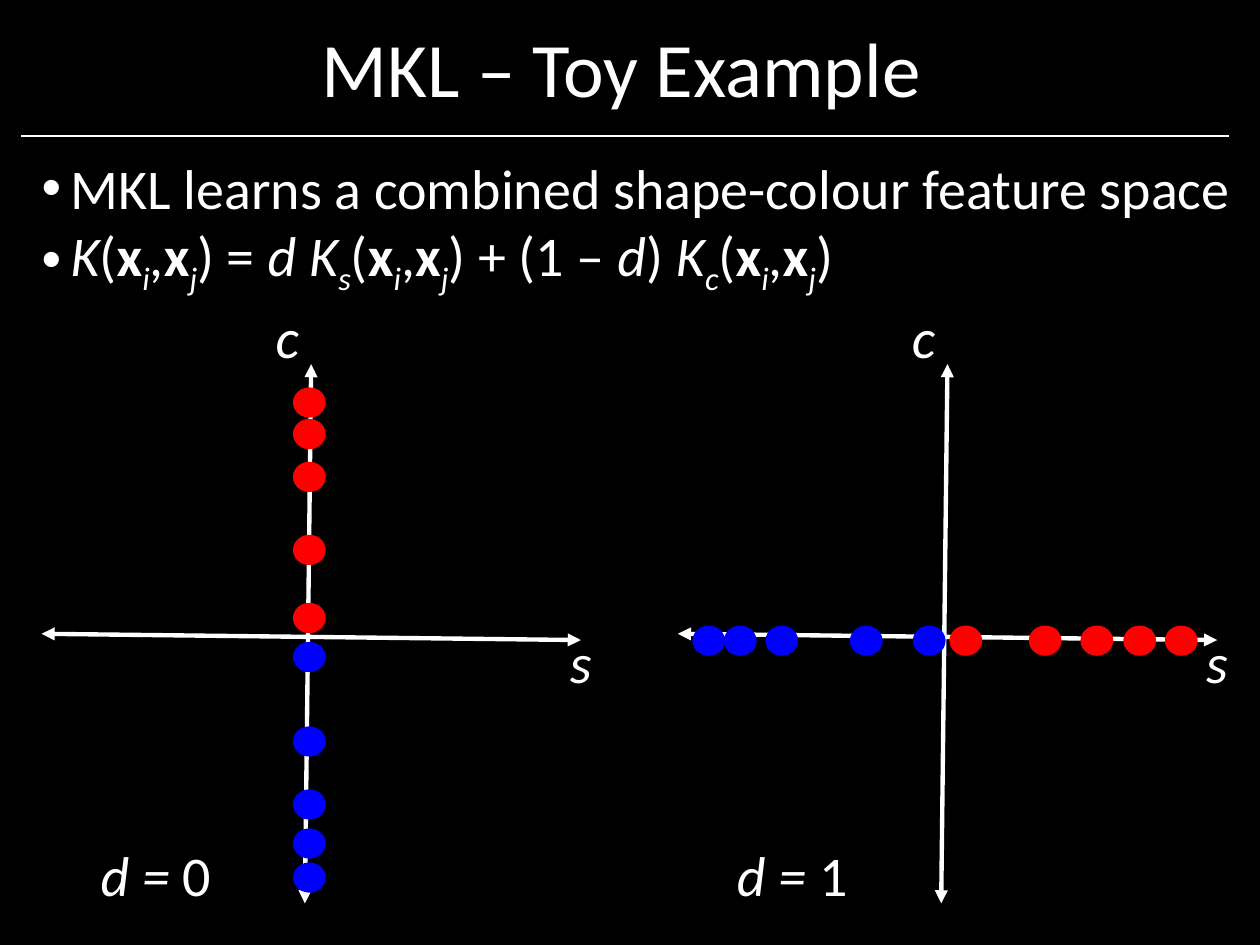
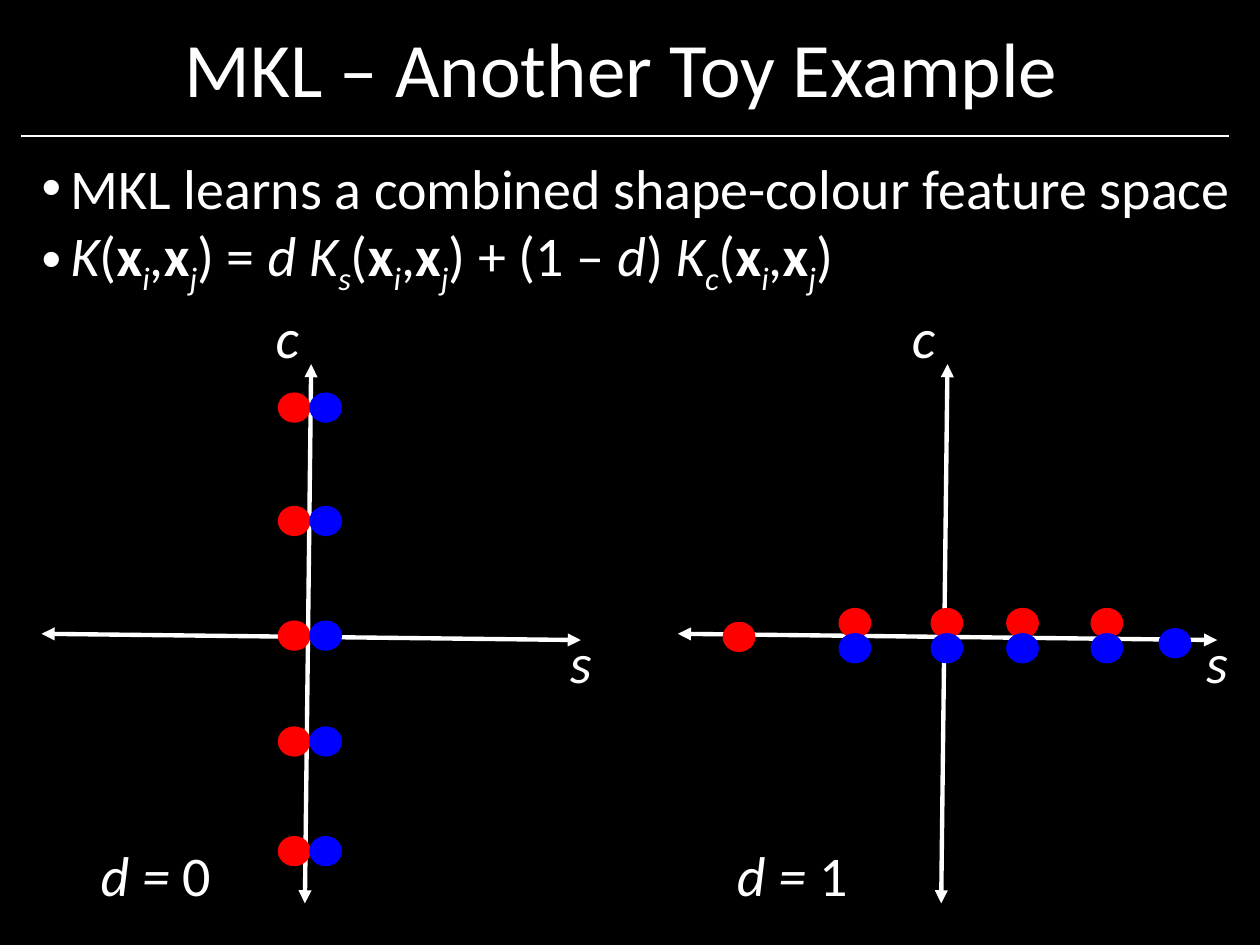
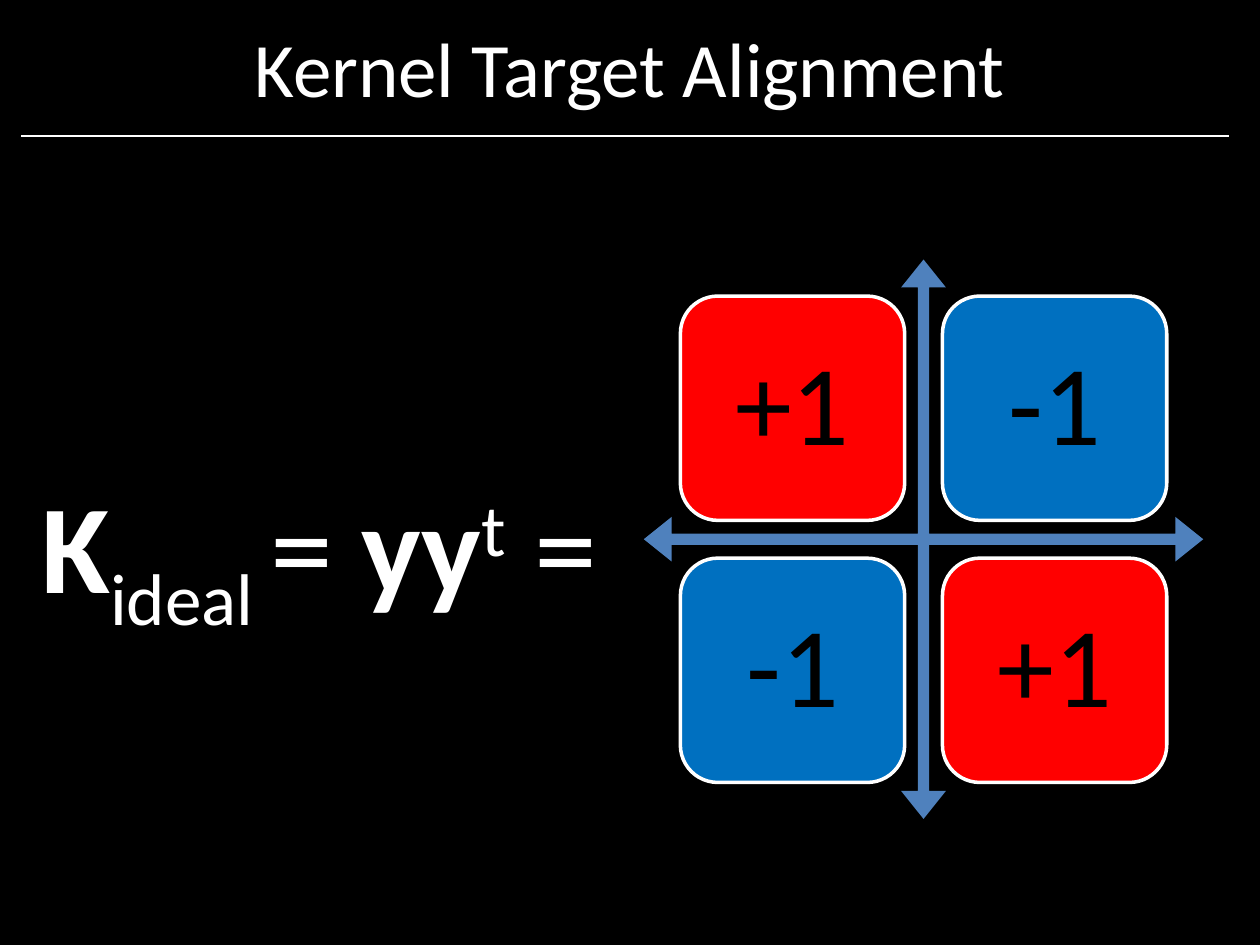
from pptx import Presentation
from pptx.dml.color import RGBColor
from pptx.enum.shapes import MSO_CONNECTOR, MSO_SHAPE
from pptx.enum.text import MSO_ANCHOR, MSO_AUTO_SIZE, PP_ALIGN
from pptx.oxml.ns import qn
from pptx.util import Inches, Pt
from lxml import etree

STRAIGHT = MSO_CONNECTOR.STRAIGHT
ELLIPSE, ROUNDED, QUAD_ARROW = MSO_SHAPE.OVAL, MSO_SHAPE.ROUNDED_RECTANGLE, MSO_SHAPE.QUAD_ARROW
MIDDLE, TOP = MSO_ANCHOR.MIDDLE, MSO_ANCHOR.TOP
CENTER, LEFT = PP_ALIGN.CENTER, PP_ALIGN.LEFT
FIXED = MSO_AUTO_SIZE.NONE

FONT = "Calibri"
COLORS = {
    "ground": "000000", "ink": "FFFFFF", "tile_text": "000000",
    "red": "FF0000", "blue": "0000FF", "tile_blue": "0070C0", "arrow": "4F81BD",
}
TITLE_ONLY, TITLE_AND_BODY = 5, 1
DOT_W, DOT_H = 0.25, 0.23
PANEL_TOP, PANEL_LEFT, PANEL_STEP = 2.42, 0.33, 5.05

ARGUMENTS = [("(", ""), ("x", "bold"), ("i", "sub italic"), (",", ""),
             ("x", "bold"), ("j", "sub italic"), (")", "")]
KERNEL_SUM = [("K", "italic"), *ARGUMENTS, (" = ", ""), ("d K", "italic"), ("s", "sub italic"),
              *ARGUMENTS, (" + (1 – ", ""), ("d", "italic"), (") ", ""), ("K", "italic"),
              ("c", "sub italic"), *ARGUMENTS]
IDEAL_KERNEL = [("K", "bold"), ("ideal ", "sub"), ("= ", ""), ("yy", "bold"),
                ("t", "super"), (" =", "")]
BASELINES = {"sub": "-25000", "super": "30000"}

TOY_DOTS = (
    [(2, y, "red") for y in (0.66, 0.91, 1.25, 1.83, 2.37)]
    + [(2, y, "blue") for y in (2.68, 3.35, 3.85, 4.16, 4.43)],
    [(x, 2.55, "blue") for x in (0.12, 0.37, 0.7, 1.37, 1.87)]
    + [(x, 2.55, "red") for x in (2.16, 2.79, 3.2, 3.54, 3.87)],
)
PAIRED_DOTS = (
    [(x, y, color) for y in (0.7, 1.6, 2.51, 3.35, 4.22)
     for x, color in ((1.88, "red"), (2.13, "blue"))],
    [(0.36, 2.52, "red"), (3.82, 2.57, "blue")]
    + [(x, y, color) for x in (1.28, 2.01, 2.61, 3.28)
       for y, color in ((2.41, "red"), (2.61, "blue"))],
)


def rgb(name):
    """Return the named colour."""
    return RGBColor.from_string(COLORS[name])


def write(paragraph, parts, size, color="ink", align=LEFT):
    """Fill a paragraph with (text, style words) parts."""
    paragraph.alignment = align
    for text, style in parts:
        run = paragraph.add_run()
        run.text = text
        font = run.font
        font.name, font.size = FONT, Pt(size)
        font.color.rgb = rgb(color)
        font.bold, font.italic = "bold" in style, "italic" in style
        for word, shift in BASELINES.items():
            if word in style:
                run._r.get_or_add_rPr().set("baseline", shift)


def place(shape, left, top, width, height):
    """Move and size a placeholder."""
    shape.left, shape.top = Inches(left), Inches(top)
    shape.width, shape.height = Inches(width), Inches(height)


def set_inset(frame, inset):
    """Give a text frame the same margin on all sides."""
    frame.margin_left = frame.margin_right = Inches(inset)
    frame.margin_top = frame.margin_bottom = Inches(inset)


def add_line(slide, start, end, width, arrows=False):
    """Draw a straight line, with arrowheads at both ends on request."""
    line = slide.shapes.add_connector(STRAIGHT, *map(Inches, (*start, *end)))
    line.line.color.rgb = rgb("ink")
    line.line.width = Pt(width)
    if arrows:
        outline = line.line._get_or_add_ln()
        for end_tag in ("a:headEnd", "a:tailEnd"):
            etree.SubElement(outline, qn(end_tag)).set("type", "triangle")
    etree.SubElement(line._element.spPr, qn("a:effectLst"))


def add_figure(slide, kind, box, fill, outline=None, width=0.75):
    """Draw a filled preset shape without shadow."""
    figure = slide.shapes.add_shape(kind, *map(Inches, box))
    figure.shadow.inherit = False
    figure.fill.solid()
    figure.fill.fore_color.rgb = rgb(fill)
    if outline:
        figure.line.color.rgb = rgb(outline)
        figure.line.width = Pt(width)
    else:
        figure.line.fill.background()
    return figure


def add_text(slide, box, parts, size):
    """Add a text box with one paragraph and return its frame."""
    frame = slide.shapes.add_textbox(*map(Inches, box)).text_frame
    frame.word_wrap = True
    write(frame.paragraphs[0], parts, size)
    return frame


def add_titled_slide(prs, layout, heading):
    """Add a slide with the shared title and the rule below it."""
    slide = prs.slides.add_slide(prs.slide_layouts[layout])
    title = slide.shapes.title
    place(title, 0, 0.1, 10, 0.86)
    title.text_frame.vertical_anchor = MIDDLE
    title.text_frame.auto_size = FIXED
    write(title.text_frame.paragraphs[0], [(heading, "")], 44, align=CENTER)
    add_line(slide, (0.17, 1.08), (9.75, 1.08), 0.75)
    return slide


def fill_bullets(body, items):
    """Write the bulleted list into the body placeholder."""
    place(body, 0.23, 1.17, 9.77, 6.09)
    frame = body.text_frame
    frame.auto_size, frame.vertical_anchor = FIXED, TOP
    for number, parts in enumerate(items):
        paragraph = frame.add_paragraph() if number else frame.paragraphs[0]
        paragraph.space_before = Pt(0)
        properties = paragraph._p.get_or_add_pPr()
        properties.set("marL", str(Inches(0.23)))
        properties.set("indent", str(-Inches(0.23)))
        color = etree.SubElement(properties, qn("a:buClr"))
        etree.SubElement(color, qn("a:srgbClr")).set("val", COLORS["ink"])
        etree.SubElement(properties, qn("a:buFont")).set("typeface", "Arial")
        etree.SubElement(properties, qn("a:buChar")).set("char", "•")
        write(paragraph, parts, 32)


def add_feature_plot(slide, left, top, weight, dots):
    """Draw the shape-colour axes, their labels and the dots."""
    for name, x, y in (("s", 4.03, 2.58), ("c", 1.7, 0)):
        label = add_text(slide, (left + x, top + y, 0.5, 0.5), [(name, "italic")], 32)
        set_inset(label, 0)
        label.vertical_anchor = MIDDLE
        label.paragraphs[0].alignment = CENTER
    for start, end in (((2.14, 0.47), (2.09, 4.75)), ((0, 2.61), (4.28, 2.66))):
        add_line(slide, (left + start[0], top + start[1]),
                 (left + end[0], top + end[1]), 2.5, arrows=True)
    add_text(slide, (left + 0.37, top + 4.2, 1.25, 0.64),
             [("d = ", "italic"), (weight, "")], 32)
    for x, y, color in dots:
        add_figure(slide, ELLIPSE, (left + x, top + y, DOT_W, DOT_H), color, color)


def add_toy_slide(prs, heading, plots):
    """Build a toy example: two bullets above the plots for d = 0 and d = 1."""
    slide = add_titled_slide(prs, TITLE_AND_BODY, heading)
    claim = [("MKL learns a combined shape-colour feature space", "")]
    fill_bullets(slide.placeholders[1], [claim, KERNEL_SUM])
    for weight, dots in enumerate(plots):
        add_feature_plot(slide, PANEL_LEFT + weight * PANEL_STEP, PANEL_TOP, str(weight), dots)


def add_target_matrix(slide, left, top, side):
    """Draw the four-way arrow and the two-by-two label tiles."""
    arrow = add_figure(slide, QUAD_ARROW, (left, top, side, side), "arrow")
    for number, value in enumerate((0.02, 0.04, 0.05)):
        arrow.adjustments[number] = value
    margin, tile_side = 0.29, 1.78
    step = side - 2 * margin - tile_side
    for row in range(2):
        for column in range(2):
            value, fill = ("+1", "red") if row == column else ("-1", "tile_blue")
            box = (left + margin + column * step, top + margin + row * step, tile_side, tile_side)
            frame = add_figure(slide, ROUNDED, box, fill, "ink", 2).text_frame
            set_inset(frame, 0.27)
            frame.vertical_anchor = MIDDLE
            frame.paragraphs[0].line_spacing = 0.9
            write(frame.paragraphs[0], [(value, "")], 65, "tile_text", CENTER)


def add_alignment_slide(prs):
    """Build the kernel target alignment slide."""
    slide = add_titled_slide(prs, TITLE_ONLY, "Kernel Target Alignment")
    add_target_matrix(slide, 5.11, 2.06, 4.44)
    equation = add_text(slide, (0.23, 3.79, 9.33, 1.09), IDEAL_KERNEL, 72)
    equation.paragraphs[0].line_spacing = 0.8


def main():
    """Build and save the presentation."""
    prs = Presentation()
    prs.slide_width, prs.slide_height = Inches(10), Inches(7.5)
    ground = prs.slide_master.background.fill
    ground.solid()
    ground.fore_color.rgb = rgb("ground")
    add_toy_slide(prs, "MKL – Toy Example ", TOY_DOTS)
    add_toy_slide(prs, "MKL – Another Toy Example ", PAIRED_DOTS)
    add_alignment_slide(prs)
    prs.save("out.pptx")


if __name__ == "__main__":
    main()
